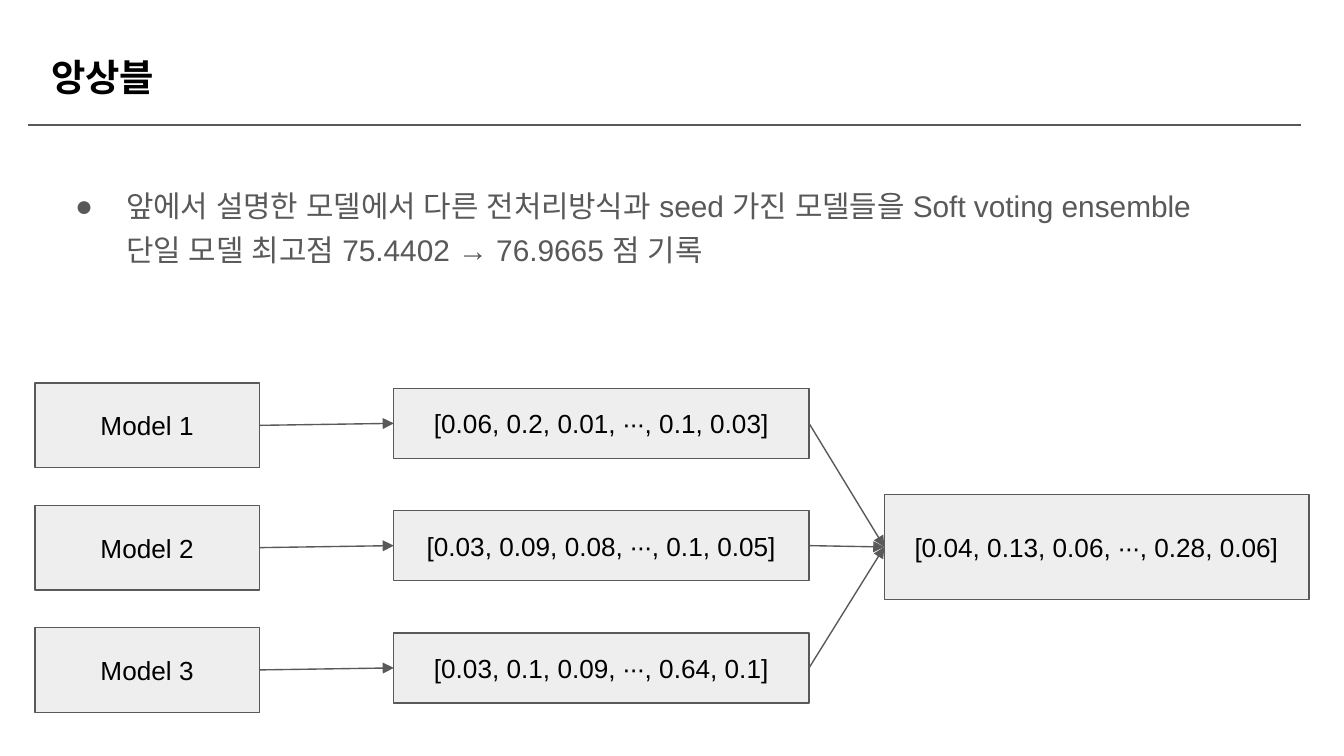
"""Build the ensemble slide: three models whose class scores are soft-voted into one."""
from dataclasses import dataclass

import pptx
import pptx.dml.color
import pptx.enum.shapes
import pptx.enum.text
import pptx.oxml
import pptx.oxml.ns
import pptx.util

Inches = pptx.util.Inches
Pt = pptx.util.Pt
RGBColor = pptx.dml.color.RGBColor
ALIGN = pptx.enum.text.PP_ALIGN
ANCHOR = pptx.enum.text.MSO_ANCHOR

BLACK = RGBColor(0x00, 0x00, 0x00)
GRAY = RGBColor(0x59, 0x59, 0x59)
LIGHT = RGBColor(0xEE, 0xEE, 0xEE)
WHITE = RGBColor(0xFF, 0xFF, 0xFF)
NS = pptx.oxml.ns.nsdecls("a")

ROW_TOP, ROW_STEP = 2.85, 0.91
SCORES = [
    "[0.06, 0.2, 0.01, ∙∙∙, 0.1, 0.03]",
    "[0.03, 0.09, 0.08, ∙∙∙, 0.1, 0.05]",
    "[0.03, 0.1, 0.09, ∙∙∙, 0.64, 0.1]",
]
AVERAGE = "[0.04, 0.13, 0.06, ∙∙∙, 0.28, 0.06]"
SUMMARY = (
    "앞에서 설명한 모델에서 다른 전처리방식과 seed 가진 모델들을 Soft voting ensemble\v"
    "단일 모델 최고점 75.4402 → 76.9665 점 기록"
)


@dataclass
class Box:
    text: str
    left: float
    top: float
    width: float
    height: float


def format_run(r, size: float, color, bold: bool = False) -> None:
    for name, value in {"name": "Arial", "size": Pt(size), "bold": bold}.items():
        setattr(r.font, name, value)
    r.font.color.rgb = color
    r._r.get_or_add_rPr().append(pptx.oxml.parse_xml(f'<a:ea {NS} typeface="Arial"/>'))


def write(sp, text: str, size: float, color, align, anchor, bold: bool = False):
    tf = sp.text_frame
    frame = {"word_wrap": True, "vertical_anchor": anchor,
             "auto_size": pptx.enum.text.MSO_AUTO_SIZE.NONE}
    frame.update({f"margin_{side}": Inches(0.1) for side in ("left", "top", "right", "bottom")})
    for name, value in frame.items():
        setattr(tf, name, value)
    p = tf.paragraphs[0]
    p.text = text
    p.alignment = align
    for r in p.runs:
        format_run(r, size, color, bold)
    return p


def add_bullet(p, char: str, indent: float, hanging: float) -> None:
    pPr = p._p.get_or_add_pPr()
    pPr.set("marL", str(Inches(indent)))
    pPr.set("indent", str(-Inches(hanging)))
    for xml in (
        f'<a:buClr {NS}><a:srgbClr val="{GRAY}"/></a:buClr>',
        f'<a:buFont {NS} typeface="Arial"/>',
        f'<a:buChar {NS} char="{char}"/>',
    ):
        pPr.append(pptx.oxml.parse_xml(xml))


def add_box(s, box: Box):
    sp = s.shapes.add_shape(
        pptx.enum.shapes.MSO_SHAPE.RECTANGLE,
        *map(Inches, (box.left, box.top, box.width, box.height)),
    )
    sp.shadow.inherit = False
    sp.fill.solid()
    sp.fill.fore_color.rgb = LIGHT
    sp.line.color.rgb = GRAY
    sp.line.width = Pt(0.75)
    write(sp, box.text, 14, BLACK, ALIGN.CENTER, ANCHOR.MIDDLE)
    return sp


def add_line(s, x1: float, y1: float, x2: float, y2: float):
    line = s.shapes.add_connector(
        pptx.enum.shapes.MSO_CONNECTOR.STRAIGHT, *map(Inches, (x1, y1, x2, y2))
    )
    line.line.color.rgb = GRAY
    line.line.width = Pt(0.75)
    line._element.spPr.append(pptx.oxml.parse_xml(f"<a:effectLst {NS}/>"))
    return line


def add_arrow(s, source, target) -> None:
    arrow = add_line(s, 0, 0, 1, 1)
    arrow.begin_connect(source, 3)
    arrow.end_connect(target, 1)
    arrow.line._get_or_add_ln().append(
        pptx.oxml.parse_xml(f'<a:tailEnd {NS} type="triangle"/>')
    )


def main() -> None:
    prs = pptx.Presentation()
    prs.slide_width = Inches(10)
    prs.slide_height = prs.slide_width * 9 // 16
    s = prs.slides.add_slide(prs.slide_layouts[5])
    s.background.fill.solid()
    s.background.fill.fore_color.rgb = WHITE

    title = s.shapes.title
    place = {"left": 0.28, "top": 0.3, "width": 9.32, "height": 0.54}
    for name, value in place.items():
        setattr(title, name, Inches(value))
    write(title, "앙상블", 20, BLACK, ALIGN.LEFT, ANCHOR.TOP, bold=True)
    add_line(s, 0.21, 0.93, 9.68, 0.93)

    body = s.shapes.add_textbox(*map(Inches, (0.34, 1.26, 9.32, 0.84)))
    p = write(body, SUMMARY, 16, GRAY, ALIGN.LEFT, ANCHOR.TOP)
    p.line_spacing = 1.15
    add_bullet(p, "●", 0.5, 0.38)
    r = p.add_run()
    r.text = " "
    format_run(r, 17, GRAY)

    average = add_box(s, Box(AVERAGE, 6.58, 3.68, 3.16, 0.78))
    for i, scores in enumerate(SCORES):
        top = ROW_TOP + i * ROW_STEP
        model = add_box(s, Box(f"Model {i + 1}", 0.26, top, 1.67, 0.63))
        output = add_box(s, Box(scores, 2.93, top + 0.04, 3.09, 0.52))
        add_arrow(s, model, output)
        add_arrow(s, output, average)

    prs.save("out.pptx")


if __name__ == "__main__":
    main()
